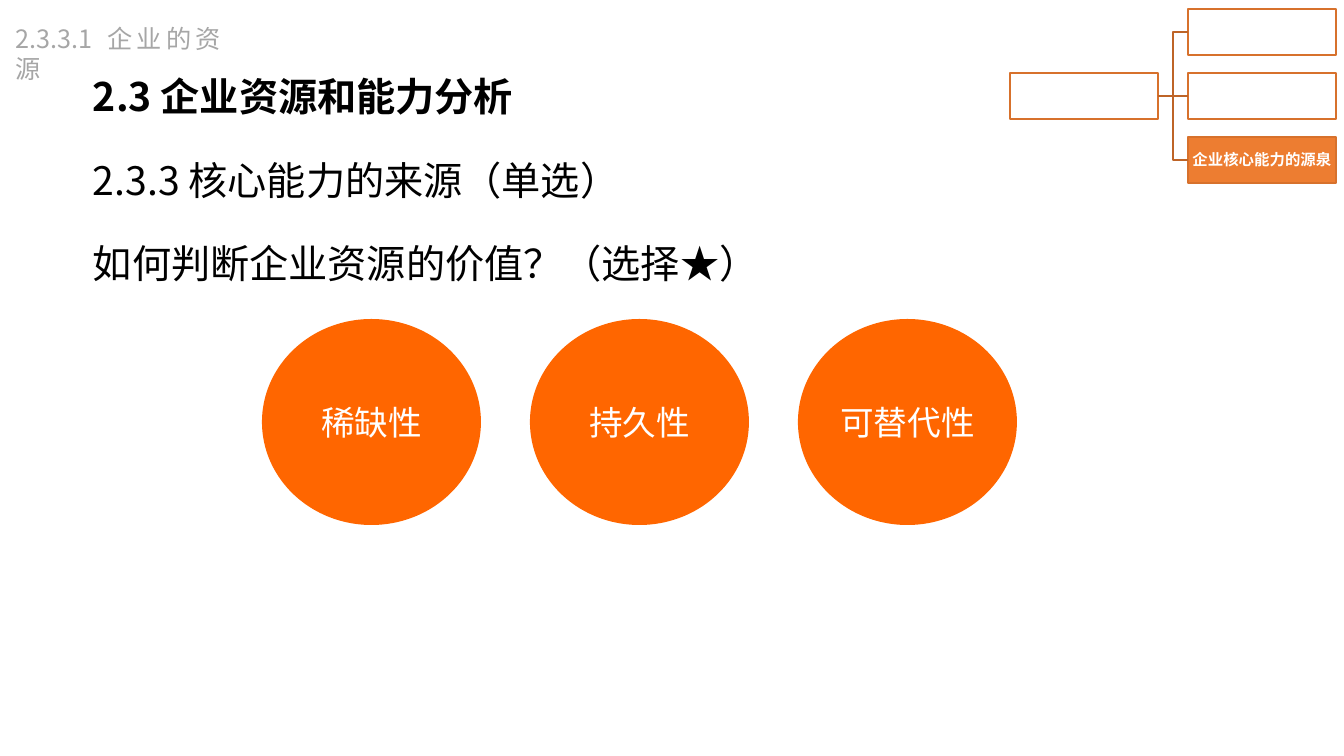
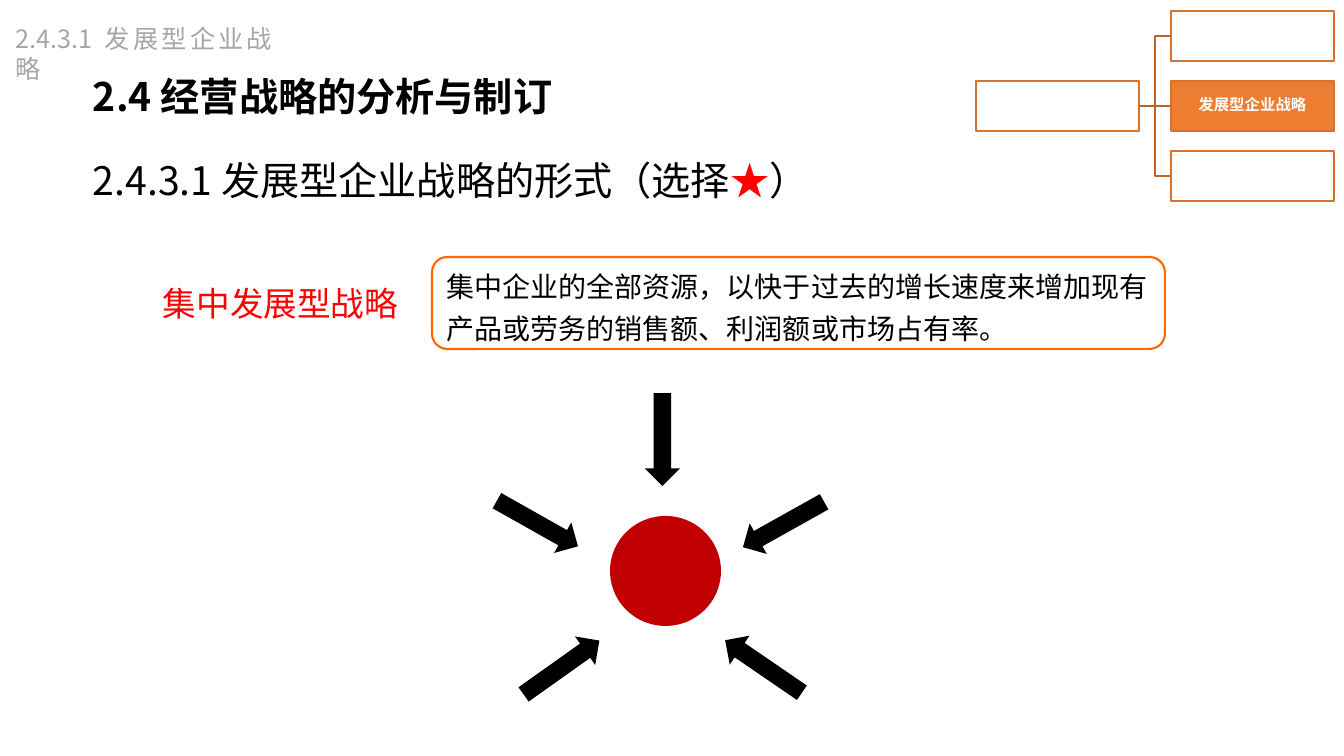
from dataclasses import dataclass

import lxml.etree
import pptx
import pptx.dml.color
import pptx.enum.shapes
import pptx.enum.text
import pptx.oxml.ns
import pptx.util

SHAPE = pptx.enum.shapes.MSO_SHAPE
ALIGN = pptx.enum.text.PP_ALIGN
ANCHOR = pptx.enum.text.MSO_ANCHOR

PX_PER_INCH = 100.8
SC, JP = "Noto Sans CJK SC", "Noto Sans CJK JP"
BLACK, WHITE, GREY, RED = "000000", "FFFFFF", "A6A6A6", "FF0000"
ORANGE, TREE_FILL, TREE_LINE, TREE_LINK = "FF6600", "ED7D31", "D7712C", "BE6427"
DARK_RED = "C00000"


@dataclass(frozen=True)
class Box:
    x: int
    y: int
    w: int
    h: int


@dataclass(frozen=True)
class TextStyle:
    size: int
    color: str = BLACK
    font: str = SC
    bold: bool = False
    align: ALIGN = ALIGN.LEFT
    anchor: ANCHOR = ANCHOR.MIDDLE
    spacing: float | pptx.util.Pt | None = None
    inset: tuple[int, int] = (10, 5)


@dataclass(frozen=True)
class Tree:
    """A root box linked to three stacked leaves, one of them highlighted."""
    leaf: Box
    step: int
    gap: int
    active: int
    label: str


@dataclass(frozen=True)
class Arrow:
    x: int
    y: int
    angle: float


CAPTION = TextStyle(18, GREY, align=ALIGN.JUSTIFY, anchor=ANCHOR.TOP)
HEADING = TextStyle(28, bold=True, anchor=ANCHOR.TOP, inset=(12, 6))
LINE = TextStyle(28, spacing=1.5, inset=(12, 6))
CIRCLE = TextStyle(24, WHITE, JP, align=ALIGN.CENTER)
TERM = TextStyle(24, RED, JP, anchor=ANCHOR.TOP)
DEFINITION = TextStyle(20, font=JP, spacing=pptx.util.Pt(30))
LEAF = TextStyle(11, WHITE, bold=True, align=ALIGN.CENTER, spacing=0.9, inset=(1, 1))

ARROW_W, ARROW_H = 35, 93
ARROWS = [
    Arrow(520, 477, 299.4),
    Arrow(766, 478, 60.8),
    Arrow(544, 621, 234.6),
    Arrow(645, 393, 0),
    Arrow(746, 620, 124.4),
]


def px(n: int) -> int:
    return round(n * 914400 / PX_PER_INCH)


def emu(box: Box) -> tuple[int, ...]:
    return tuple(px(n) for n in (box.x, box.y, box.w, box.h))


def rgb(color: str) -> pptx.dml.color.RGBColor:
    return pptx.dml.color.RGBColor.from_string(color)


def set_all(target, values: dict) -> None:
    for name, value in values.items():
        setattr(target, name, value)


def write(sp, style: TextStyle, *runs: str | tuple[str, str]) -> None:
    """Fill a shape with one paragraph; a run is text or (text, colour)."""
    tf = sp.text_frame
    dx, dy = (px(n) for n in style.inset)
    set_all(tf, dict(word_wrap=True, vertical_anchor=style.anchor, margin_left=dx,
                     margin_right=dx, margin_top=dy, margin_bottom=dy))
    p = tf.paragraphs[0]
    set_all(p, dict(alignment=style.align, line_spacing=style.spacing))
    for run in runs:
        text, color = (run, style.color) if isinstance(run, str) else run
        r = p.add_run()
        r.text = text
        set_all(r.font, dict(size=pptx.util.Pt(style.size), bold=style.bold, name=style.font))
        r.font.color.rgb = rgb(color)
        ea = lxml.etree.SubElement(r.font._element, pptx.oxml.ns.qn("a:ea"))
        ea.set("typeface", style.font)


def add_text(slide, box: Box, style: TextStyle, *runs: str | tuple[str, str]) -> None:
    write(slide.shapes.add_textbox(*emu(box)), style, *runs)


def add_shape(slide, kind: SHAPE, box: Box, fill: str | None = None,
              line: str | None = None, width: float = 1):
    sp = slide.shapes.add_shape(kind, *emu(box))
    sp.shadow.inherit = False
    if fill:
        sp.fill.solid()
        sp.fill.fore_color.rgb = rgb(fill)
    else:
        sp.fill.background()
    if line:
        sp.line.color.rgb = rgb(line)
        sp.line.width = pptx.util.Pt(width)
    else:
        sp.line.fill.background()
    return sp


def add_link(slide, root, leaf) -> None:
    kinds = pptx.enum.shapes.MSO_CONNECTOR
    kind = kinds.STRAIGHT if root.top == leaf.top else kinds.ELBOW
    link = slide.shapes.add_connector(kind, 0, 0, 0, 0)
    link.begin_connect(root, 3)
    link.end_connect(leaf, 1)
    link.line.color.rgb = rgb(TREE_LINK)
    link.line.width = pptx.util.Pt(1)
    lxml.etree.SubElement(link._element.spPr, pptx.oxml.ns.qn("a:effectLst"))


def add_tree(slide, tree: Tree) -> None:
    b = tree.leaf
    root_box = Box(b.x - b.w - tree.gap, b.y + tree.step, b.w, b.h)
    root = add_shape(slide, SHAPE.RECTANGLE, root_box, WHITE, TREE_LINE)
    for i in range(3):
        active = i == tree.active
        leaf = add_shape(slide, SHAPE.RECTANGLE, Box(b.x, b.y + i * tree.step, b.w, b.h),
                         TREE_FILL if active else WHITE, TREE_LINE)
        if active:
            write(leaf, LEAF, tree.label)
        add_link(slide, root, leaf)


def add_line(slide, row: int, *runs: str | tuple[str, str]) -> None:
    add_text(slide, Box(81, 116 + 83 * row, 1226, 105), LINE, *runs)


def new_slide(prs, caption: str, caption_w: int, heading: str, tree: Tree):
    """Add a slide with the caption, heading and tree that all slides share."""
    slide = prs.slides.add_slide(prs.slide_layouts[6])
    add_text(slide, Box(6, 18, caption_w, 40), CAPTION, caption)
    add_text(slide, Box(81, 66, 1154, 59), HEADING, heading)
    add_tree(slide, tree)
    return slide


def resources_slide(prs) -> None:
    tree = Tree(Box(1188, 9, 148, 46), step=64, gap=30, active=2, label="企业核心能力的源泉")
    slide = new_slide(prs, "2.3.3.1 企业的资源", 225, "2.3 企业资源和能力分析", tree)
    add_line(slide, 0, "2.3.3 核心能力的来源（单选）")
    add_line(slide, 1, "如何判断企业资源的价值？（选择★）")
    for i, label in enumerate(["稀缺性", "持久性", "可替代性"]):
        sp = add_shape(slide, SHAPE.OVAL, Box(262 + 268 * i, 319, 219, 206), ORANGE)
        write(sp, CIRCLE, label)


def strategy_slide(prs) -> None:
    tree = Tree(Box(1171, 11, 163, 50), step=70, gap=32, active=1, label="发展型企业战略")
    slide = new_slide(prs, "2.4.3.1 发展型企业战略", 276, "2.4 经营战略的分析与制订", tree)
    add_line(slide, 0, "2.4.3.1 发展型企业战略的形式（选择", ("★", RED), "）")
    add_text(slide, Box(153, 278, 279, 50), TERM, "集中发展型战略")
    sp = add_shape(slide, SHAPE.ROUNDED_RECTANGLE, Box(432, 257, 733, 92), line=ORANGE, width=1.5)
    write(sp, DEFINITION,
          "集中企业的全部资源，以快于过去的增长速度来增加现有产品或劳务的销售额、利润额或市场占有率。")
    add_shape(slide, SHAPE.OVAL, Box(610, 516, 111, 110), DARK_RED)
    for arrow in ARROWS:
        sp = add_shape(slide, SHAPE.DOWN_ARROW, Box(arrow.x, arrow.y, ARROW_W, ARROW_H), BLACK)
        sp.rotation = arrow.angle


def main() -> None:
    prs = pptx.Presentation()
    set_all(prs, dict(slide_width=px(1344), slide_height=px(756)))
    resources_slide(prs)
    strategy_slide(prs)
    prs.save("out.pptx")


if __name__ == "__main__":
    main()
